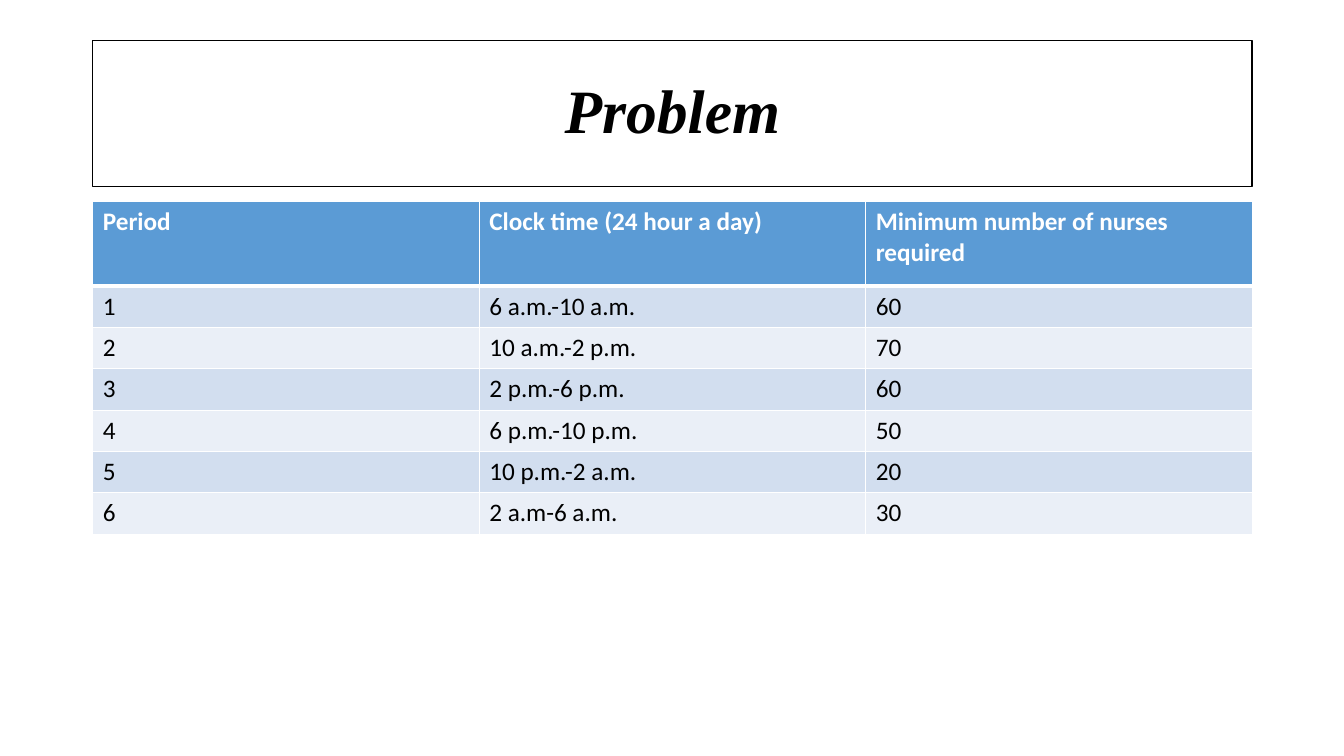
import dataclasses

import lxml.etree
import pptx
import pptx.dml.color
import pptx.enum.shapes
import pptx.enum.text
import pptx.oxml.ns
import pptx.util

Inches = pptx.util.Inches
Pt = pptx.util.Pt


@dataclasses.dataclass(frozen=True)
class Theme:
    title_font: str = "Times New Roman"
    body_font: str = "Calibri"
    title_size: int = 44
    body_size: int = 18
    ink: str = "000000"
    paper: str = "FFFFFF"
    header: str = "5B9BD5"
    bands: tuple = ("D2DEEF", "EAEFF7")
    rule: int = 1
    header_rule: int = 3


THEME = Theme()
HEADINGS = ("Period", "Clock time (24 hour a day)",
            "Minimum number of nurses required")
SHIFTS = (
    ("6 a.m.-10 a.m.", 60),
    ("10 a.m.-2 p.m.", 70),
    ("2 p.m.-6 p.m.", 60),
    ("6 p.m.-10 p.m.", 50),
    ("10 p.m.-2 a.m.", 20),
    ("2 a.m-6 a.m.", 30),
)


def rgb(color):
    return pptx.dml.color.RGBColor.from_string(color)


def add_run(p, text, font, size, color, bold=False, italic=False):
    r = p.add_run()
    r.text = text
    r.font.name = font
    r.font.size = Pt(size)
    r.font.color.rgb = rgb(color)
    r.font.bold = bold
    r.font.italic = italic


def add_border(cell, side, width):
    qn = pptx.oxml.ns.qn
    tc_pr = cell._tc.get_or_add_tcPr()
    ln = lxml.etree.SubElement(tc_pr, qn(f"a:ln{side}"), w=str(Pt(width)))
    fill = lxml.etree.SubElement(ln, qn("a:solidFill"))
    lxml.etree.SubElement(fill, qn("a:srgbClr"), val=THEME.paper)


def add_title(s, text, left, top, width, height):
    sp = s.shapes.add_shape(pptx.enum.shapes.MSO_SHAPE.RECTANGLE,
                            Inches(left), Inches(top), Inches(width), Inches(height))
    sp.shadow.inherit = False
    sp.fill.background()
    sp.line.color.rgb = rgb(THEME.ink)
    sp.line.width = Pt(THEME.rule)
    tf = sp.text_frame
    tf.word_wrap = True
    tf.vertical_anchor = pptx.enum.text.MSO_ANCHOR.MIDDLE
    p = tf.paragraphs[0]
    p.alignment = pptx.enum.text.PP_ALIGN.CENTER
    p.line_spacing = 0.9
    add_run(p, text, THEME.title_font, THEME.title_size, THEME.ink,
            bold=True, italic=True)


def add_shift_table(s, left, top, width, header_height, row_height):
    rows = [HEADINGS] + [(i, *shift) for i, shift in enumerate(SHIFTS, 1)]
    height = header_height + row_height * len(SHIFTS)
    table = s.shapes.add_table(len(rows), len(HEADINGS), Inches(left), Inches(top),
                               Inches(width), Inches(height)).table
    for i, row in enumerate(rows):
        is_header = i == 0
        table.rows[i].height = Inches(header_height if is_header else row_height)
        fill = THEME.header if is_header else THEME.bands[(i - 1) % 2]
        for j, value in enumerate(row):
            cell = table.cell(i, j)
            # Borders go ahead of the fill, with a heavy rule under the header
            for side in "LRTB":
                heavy = (i, side) in ((0, "B"), (1, "T"))
                add_border(cell, side, THEME.header_rule if heavy else THEME.rule)
            cell.fill.solid()
            cell.fill.fore_color.rgb = rgb(fill)
            add_run(cell.text_frame.paragraphs[0], str(value), THEME.body_font,
                    THEME.body_size, THEME.paper if is_header else THEME.ink,
                    bold=is_header)


prs = pptx.Presentation()
prs.slide_width = Inches(13.33)
prs.slide_height = Inches(7.5)
s = prs.slides.add_slide(prs.slide_layouts[6])

# Framed title above the staffing table
add_title(s, "Problem", 0.92, 0.4, 11.5, 1.45)
add_shift_table(s, 0.92, 2, 11.5, header_height=0.84, row_height=0.41)

prs.save("out.pptx")
